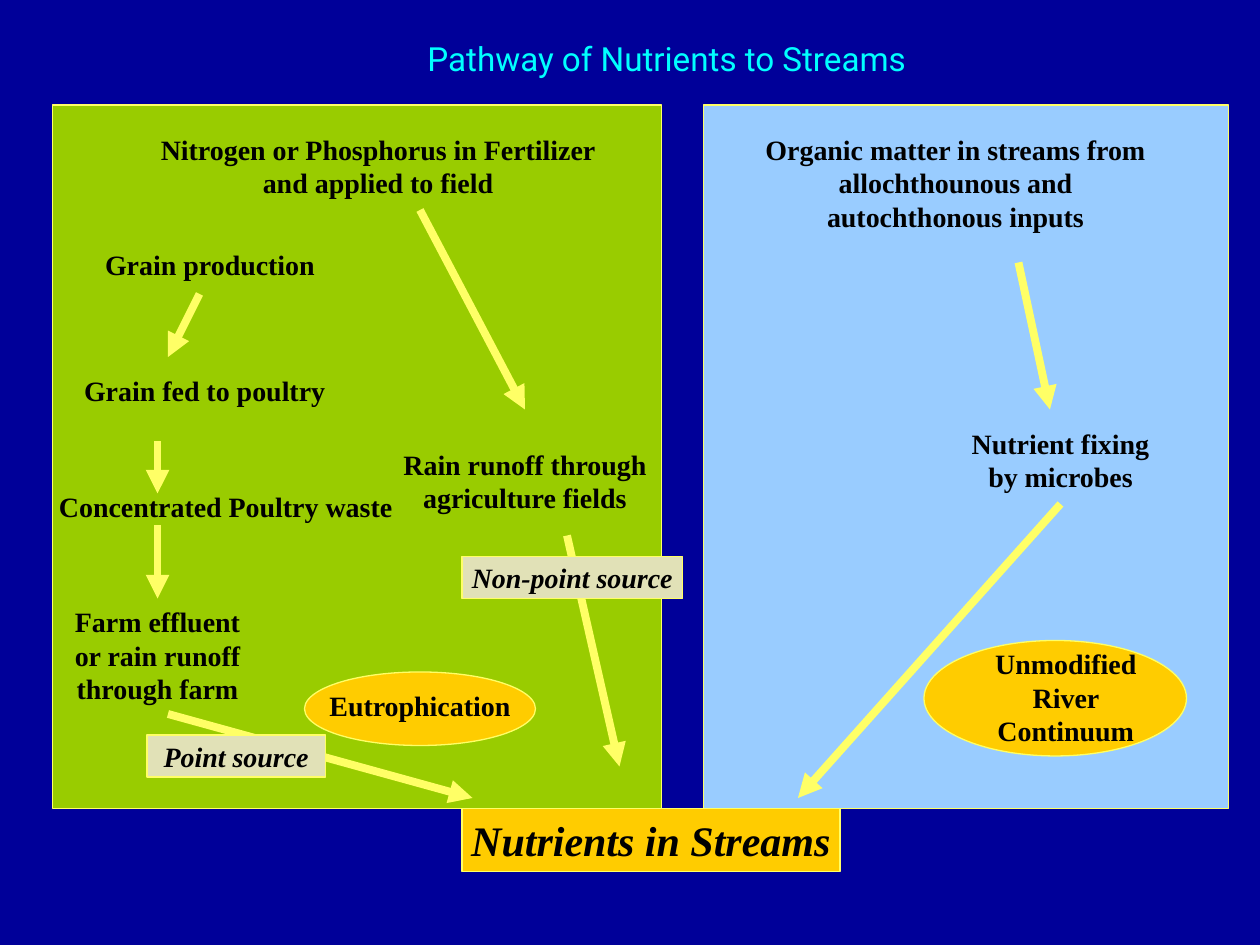
from lxml.etree import SubElement
from pptx import Presentation
from pptx.dml.color import RGBColor
from pptx.enum.shapes import MSO_CONNECTOR, MSO_SHAPE
from pptx.enum.text import MSO_ANCHOR, MSO_AUTO_SIZE, PP_ALIGN
from pptx.oxml.ns import qn
from pptx.util import Inches, Pt

COLORS = {
    "background": "000099", "title": "00FFFF", "text": "000000",
    "farming": "99CC00", "river": "99CCFF", "line": "FFFF66",
    "outcome": "FFCC00", "source": "E1E1B7",
}
BODY = {"name": "Times New Roman", "size": Pt(16), "bold": True}
LABEL = BODY | {"italic": True}
RESULT = LABEL | {"size": Pt(24)}
HEADING = {"name": "Roboto", "size": Pt(19), "bold": False}


def cells(*counts):
    """Turn counts of grid cells, twelve to the inch, into lengths."""
    return [Inches(count / 12) for count in counts]


def color(name):
    return RGBColor.from_string(COLORS[name])


def write(shape, text, style, color_name="text", wrap=True):
    frame = shape.text_frame
    frame.word_wrap = wrap
    para = frame.paragraphs[0]
    para.alignment = PP_ALIGN.CENTER
    span = para.add_run()
    span.text = text
    for attribute, value in style.items():
        setattr(span.font, attribute, value)
    span.font.color.rgb = color(color_name)


def add_panel(page, box, fill, kind=MSO_SHAPE.RECTANGLE):
    shape = page.shapes.add_shape(kind, *cells(*box))
    shape.shadow.inherit = False
    shape.fill.solid()
    shape.fill.fore_color.rgb = color(fill)
    shape.line.color.rgb = color("line")
    shape.line.width = Pt(0.75)
    return shape


def add_label(page, box, text, fill, style):
    shape = add_panel(page, box, fill)
    shape.text_frame.vertical_anchor = MSO_ANCHOR.MIDDLE
    write(shape, text, style, wrap=False)


def add_step(page, left, top, width, lines, text):
    """Place a text box whose height follows its number of lines."""
    box = page.shapes.add_textbox(*cells(left, top, width, 1.2 + 3.2 * lines))
    box.text_frame.auto_size = MSO_AUTO_SIZE.SHAPE_TO_FIT_TEXT
    write(box, text, BODY)


def add_arrow(page, *ends):
    arrow = page.shapes.add_connector(MSO_CONNECTOR.STRAIGHT, *cells(*ends))
    arrow.line.color.rgb = color("line")
    arrow.line.width = Pt(4.5)
    SubElement(arrow.line._get_or_add_ln(), qn("a:tailEnd"), type="triangle")
    SubElement(arrow._element.spPr, qn("a:effectLst"))


def add_pathway(page, box, fill, steps, arrows, outcome, outcome_step):
    """Draw a panel with its steps, arrows and oval, all offset from its corner."""
    x, y = box[:2]
    add_panel(page, box, fill)
    for left, top, *rest in steps:
        add_step(page, x + left, y + top, *rest)
    for x1, y1, x2, y2 in arrows:
        add_arrow(page, x + x1, y + y1, x + x2, y + y2)
    left, top, *size = outcome
    add_panel(page, (x + left, y + top, *size), "outcome", MSO_SHAPE.OVAL)
    left, top, *rest = outcome_step
    add_step(page, x + left, y + top, *rest)


def add_farming(page, box):
    steps = [
        (8, 2, 46, 2, "Nitrogen or Phosphorus in Fertilizer and applied to field"),
        (3, 13, 24, 1, "Grain production"),
        (0, 25, 29, 1, "Grain fed to poultry"),
        (-2, 36, 37, 1, "Concentrated Poultry waste"),
        (0, 47, 20, 3, "Farm effluent or rain runoff through farm"),
        (30, 32, 30, 2, "Rain runoff through agriculture fields"),
    ]
    arrows = [
        (35, 10, 45, 29), (14, 18, 11, 24), (10, 32, 10, 37),
        (10, 40, 10, 47), (11, 58, 40, 66), (49, 41, 54, 63),
    ]
    add_pathway(page, box, "farming", steps, arrows,
                (24, 54, 22, 7), (20, 55, 30, 1, "Eutrophication"))
    x, y = box[:2]
    add_label(page, (x + 9, y + 60, 17, 4), "Point source", "source", LABEL)
    add_label(page, (x + 39, y + 43, 21, 4), "Non-point source", "source", LABEL)


def add_river(page, box):
    steps = [
        (4, 2, 40, 3, "Organic matter in streams from allochthounous "
                      "and autochthonous inputs"),
        (24, 30, 20, 2, "Nutrient fixing by microbes"),
    ]
    arrows = [(30, 15, 33, 29), (34, 38, 9, 66)]
    add_pathway(page, box, "river", steps, arrows,
                (21, 51, 25, 11), (24, 51, 21, 3, "Unmodified River Continuum"))


def add_title(page, box):
    title = page.shapes.title
    title.left, title.top, title.width, title.height = cells(*box)
    title.text_frame.auto_size = MSO_AUTO_SIZE.NONE
    title.text_frame.vertical_anchor = MSO_ANCHOR.MIDDLE
    write(title, "Pathway of Nutrients to Streams", HEADING, "title")


def main():
    deck = Presentation()
    deck.slide_width, deck.slide_height = cells(120, 90)
    page = deck.slides.add_slide(deck.slide_layouts.get_by_name("Title Only"))
    page.background.fill.solid()
    page.background.fill.fore_color.rgb = color("background")
    add_title(page, (33, 3, 61, 5))
    add_farming(page, (5, 10, 58, 67))
    add_river(page, (67, 10, 50, 67))
    add_label(page, (44, 77, 36, 6), "Nutrients in Streams", "outcome", RESULT)
    deck.save("out.pptx")


if __name__ == "__main__":
    main()
